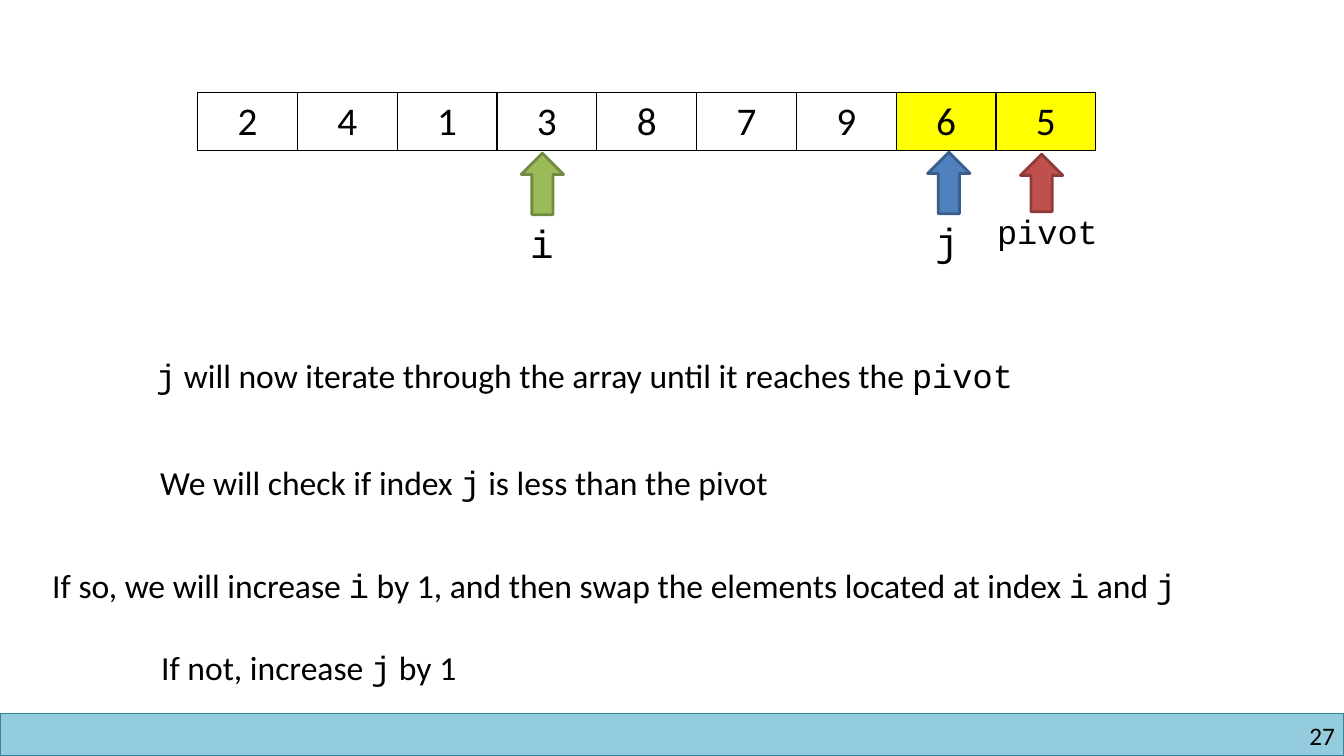
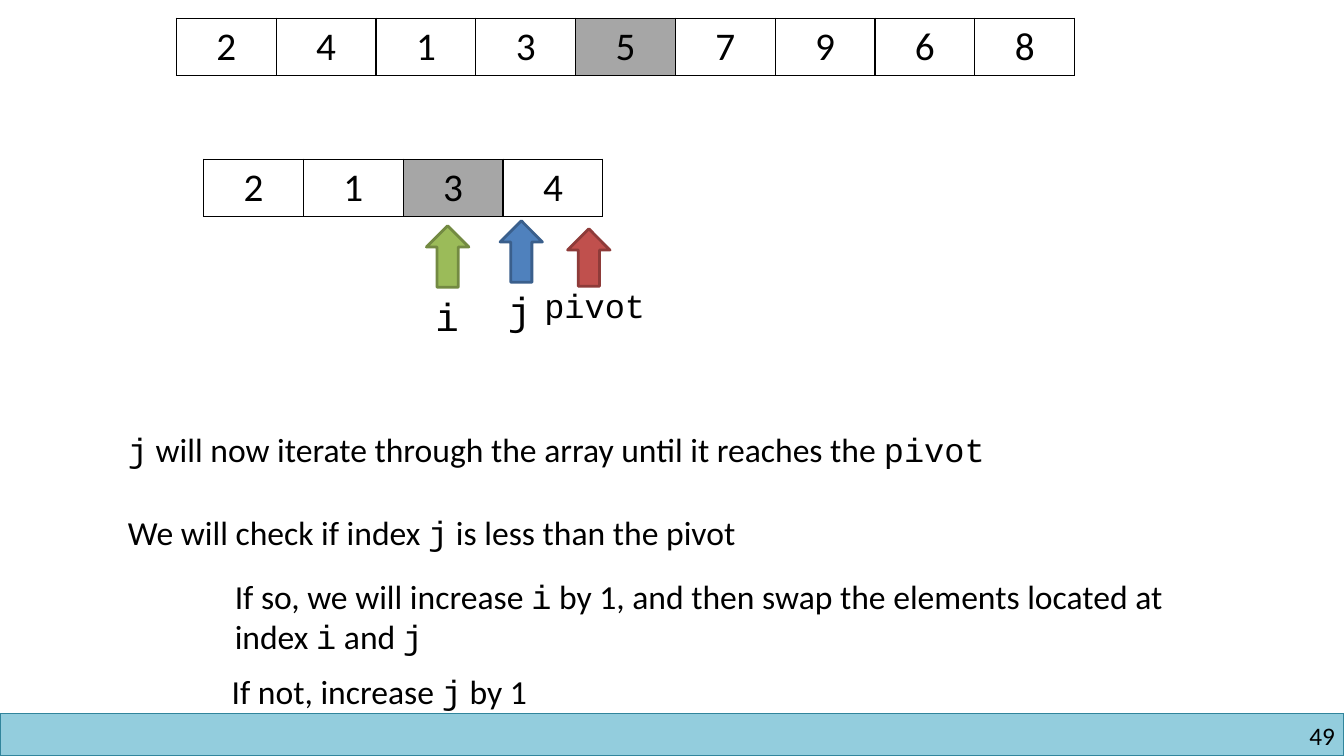
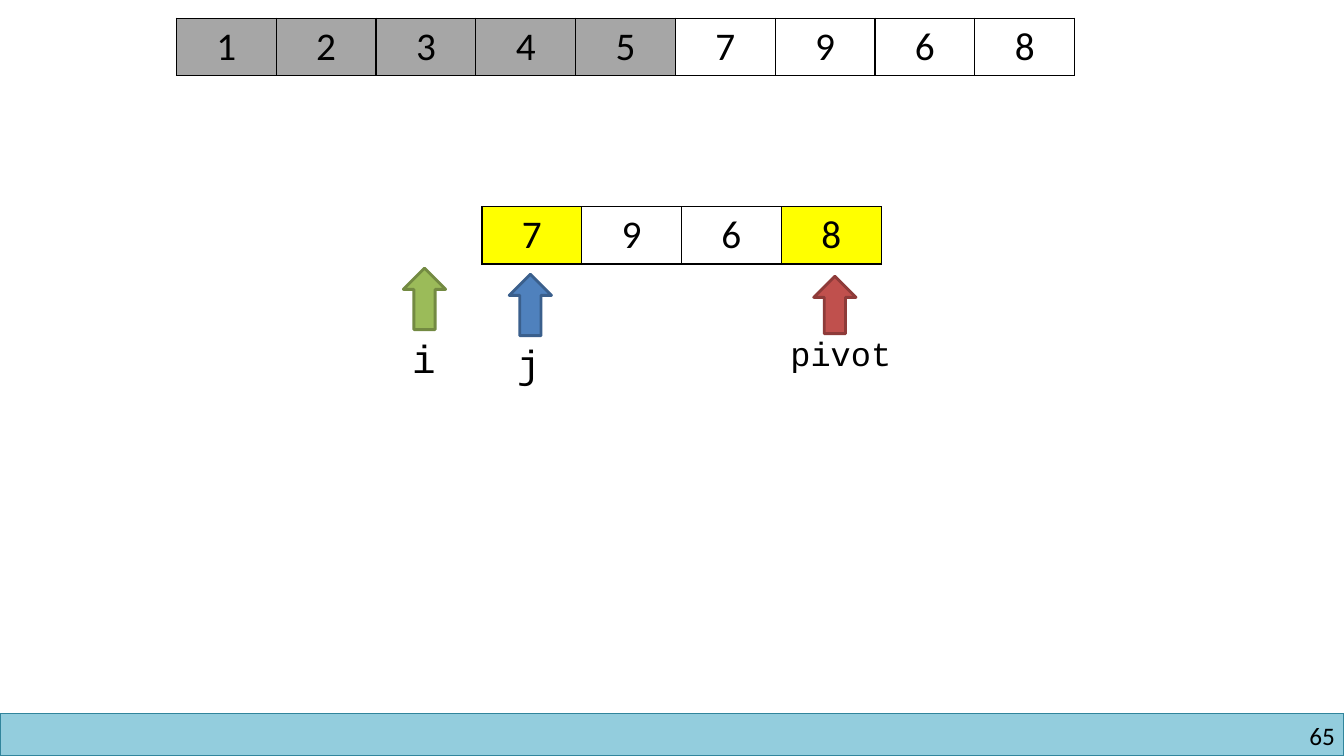
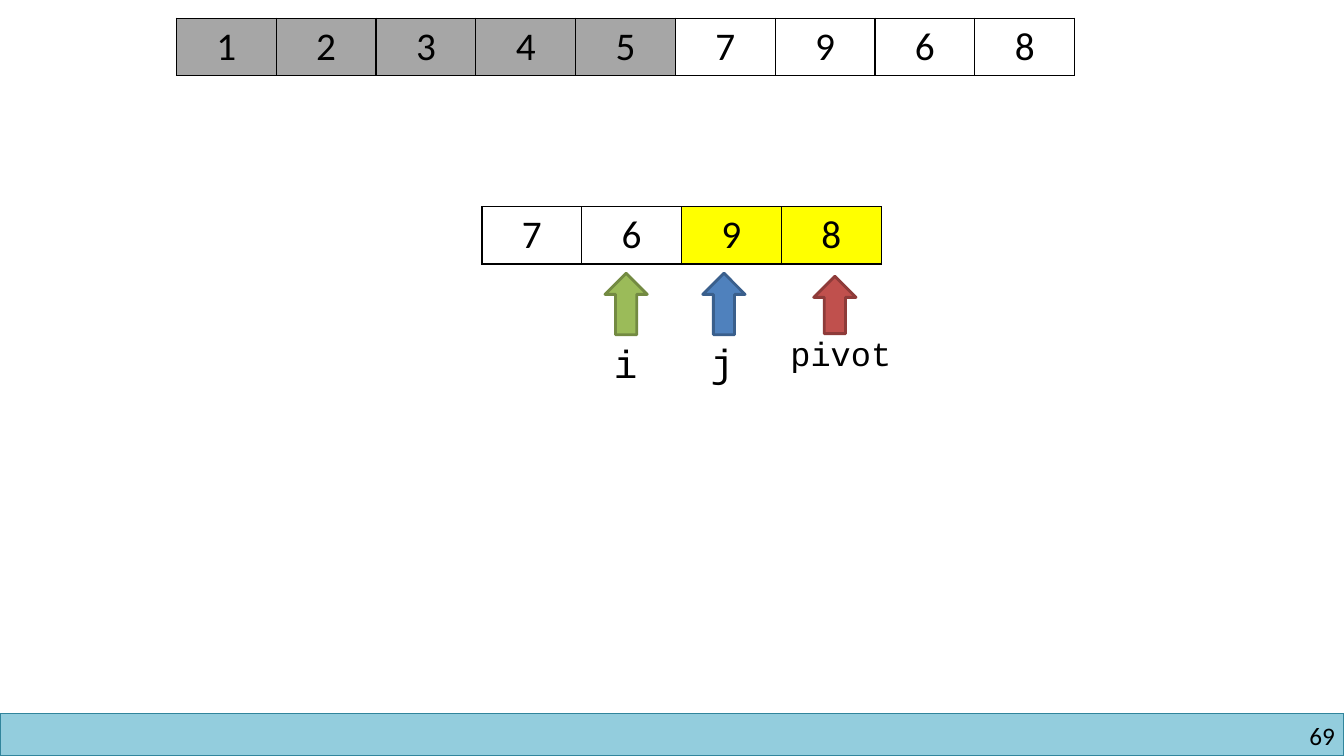
from dataclasses import dataclass

from lxml.etree import SubElement
from pptx import Presentation
from pptx.dml.color import RGBColor
from pptx.enum.shapes import MSO_SHAPE
from pptx.enum.text import PP_ALIGN
from pptx.oxml.ns import qn
from pptx.util import Inches, Pt

RECTANGLE = MSO_SHAPE.RECTANGLE
DOWN_ARROW = MSO_SHAPE.DOWN_ARROW
CENTER, LEFT, RIGHT = PP_ALIGN.CENTER, PP_ALIGN.LEFT, PP_ALIGN.RIGHT
BLANK_LAYOUT = 6


@dataclass(frozen=True)
class Theme:
    """Colours, fonts and type sizes shared by all slides."""
    text: str = "000000"
    border: str = "000000"
    band: str = "93CDDD"
    band_line: str = "31859C"
    plain: str = "FFFFFF"
    compared: str = "FFFF00"
    settled: str = "A6A6A6"
    body_font: str = "Calibri"
    code_font: str = "Courier New"
    number_size: int = 18
    body_size: int = 24
    value_size: int = 28


@dataclass(frozen=True)
class Marker:
    """Look of an index arrow and the offset of its label."""
    fill: str
    line: str
    height: float
    label_left: float
    label_top: float
    label_width: float
    label_height: float
    label_size: int


THEME = Theme()
MARKERS = {
    "pivot": Marker("C0504D", "8E3B39", 0.57, -0.33, 0.51, 1.21, 0.5, THEME.body_size),
    "j": Marker("4F81BD", "3A5F8C", 0.61, -0.02, 0.6, 0.44, 0.57, THEME.value_size),
    "i": Marker("9BBB59", "738A42", 0.61, -0.01, 0.61, 0.44, 0.57, THEME.value_size),
}
ARROW_WIDTH = 0.42
CELL_WIDTH, CELL_HEIGHT = 0.99, 0.57
SLIDE_WIDTH, SLIDE_HEIGHT = 13.33, 7.5
BAND_TOP = 7.08
FULL_ARRAY_AT = (1.75, 0.18)

STEPS = (
    "`j` will now iterate through the array until it reaches the `pivot`",
    "We will check if index `j` is less than the pivot",
    "If so, we will increase `i` by 1, and then swap the elements located at index `i` and `j`",
    "If not, increase `j` by 1",
)

SLIDES = (
    {
        "number": 27,
        "arrays": [((1.96, 0.92), "241387965", {"compared": (7, 8)})],
        "markers": {"pivot": (10.12, 1.53), "j": (9.2, 1.51), "i": (5.17, 1.52)},
        "steps": [(1.45, 3.47, 9.29, 0.5), (1.49, 4.53, 6.84, 0.5),
                  (0.42, 5.56, 12.5, 0.5), (1.5, 6.37, 3.43, 0.5)],
    },
    {
        "number": 49,
        "arrays": [(FULL_ARRAY_AT, "241357968", {"settled": (4,)}),
                   ((2.02, 1.58), "2134", {"settled": (2,)})],
        "markers": {"pivot": (5.63, 2.27), "j": (4.96, 2.19), "i": (4.23, 2.24)},
        "steps": [(1.17, 4.21, 9.29, 0.5), (1.17, 5.03, 6.84, 0.5),
                  (2.23, 5.66, 10.19, 0.91), (2.2, 6.61, 3.43, 0.5)],
    },
    {
        "number": 65,
        "arrays": [(FULL_ARRAY_AT, "123457968", {"settled": range(5)}),
                   ((4.78, 2.05), "7968", {"compared": (0, 3)})],
        "markers": {"pivot": (8.07, 2.74), "j": (5.05, 2.72), "i": (4, 2.66)},
        "steps": [],
    },
    {
        "number": 69,
        "arrays": [(FULL_ARRAY_AT, "123457968", {"settled": range(5)}),
                   ((4.78, 2.05), "7698", {"compared": (2, 3)})],
        "markers": {"pivot": (8.07, 2.74), "j": (6.97, 2.71), "i": (6, 2.71)},
        "steps": [],
    },
)


def inches(*lengths):
    """Convert several lengths at once."""
    return [Inches(length) for length in lengths]


def style_paragraph(paragraph, size, font_name=THEME.body_font, alignment=LEFT):
    """Set the font and alignment of a whole paragraph."""
    paragraph.alignment = alignment
    paragraph.font.name = font_name
    paragraph.font.size = Pt(size)
    paragraph.font.color.rgb = RGBColor.from_string(THEME.text)


def add_shape(slide, kind, box, fill, line, line_width):
    """Add a filled, outlined shape without a shadow."""
    shape = slide.shapes.add_shape(kind, *inches(*box))
    shape.shadow.inherit = False
    shape.fill.solid()
    shape.fill.fore_color.rgb = RGBColor.from_string(fill)
    shape.line.color.rgb = RGBColor.from_string(line)
    shape.line.width = Pt(line_width)
    return shape


def add_footer(slide, number):
    """Draw the bottom band with the slide number."""
    band = (0, BAND_TOP, SLIDE_WIDTH, SLIDE_HEIGHT - BAND_TOP)
    add_shape(slide, RECTANGLE, band, THEME.band, THEME.band_line, 1)
    frame = slide.shapes.add_textbox(*inches(10.17, BAND_TOP + 0.07, 3.07, 0.3)).text_frame
    frame.word_wrap = True
    frame.margin_left = frame.margin_right = frame.margin_top = frame.margin_bottom = 0
    paragraph = frame.paragraphs[0]
    paragraph.text = str(number)
    style_paragraph(paragraph, THEME.number_size, alignment=RIGHT)


def set_borders(cell):
    """Outline a table cell on all four sides."""
    properties = cell._tc.get_or_add_tcPr()
    for side in ("a:lnL", "a:lnR", "a:lnT", "a:lnB"):
        line = SubElement(properties, qn(side), w=str(Pt(1)))
        fill = SubElement(line, qn("a:solidFill"))
        SubElement(fill, qn("a:srgbClr"), val=THEME.border)


def add_array(slide, position, values, highlights):
    """Draw an array as a one-row table with highlighted cells."""
    size = (CELL_WIDTH * len(values), CELL_HEIGHT)
    table = slide.shapes.add_table(1, len(values), *inches(*position, *size)).table
    table.first_row = table.horz_banding = False
    fills = {index: getattr(THEME, state)
             for state, indices in highlights.items() for index in indices}
    for index, value in enumerate(values):
        table.columns[index].width = Inches(CELL_WIDTH)
        cell = table.cell(0, index)
        set_borders(cell)
        cell.fill.solid()
        cell.fill.fore_color.rgb = RGBColor.from_string(fills.get(index, THEME.plain))
        paragraph = cell.text_frame.paragraphs[0]
        paragraph.text = value
        style_paragraph(paragraph, THEME.value_size, alignment=CENTER)


def add_marker(slide, name, left, top):
    """Draw an upward index arrow with its label below."""
    marker = MARKERS[name]
    arrow = add_shape(slide, DOWN_ARROW, (left, top, ARROW_WIDTH, marker.height),
                      marker.fill, marker.line, 2)
    arrow.rotation = 180
    label = slide.shapes.add_textbox(*inches(
        left + marker.label_left, top + marker.label_top,
        marker.label_width, marker.label_height))
    label.text_frame.word_wrap = False
    paragraph = label.text_frame.paragraphs[0]
    paragraph.text = name
    style_paragraph(paragraph, marker.label_size, THEME.code_font)


def add_step(slide, text, box):
    """Write one step, setting the parts between backticks as code."""
    frame = slide.shapes.add_textbox(*inches(*box)).text_frame
    frame.word_wrap = True
    paragraph = frame.paragraphs[0]
    style_paragraph(paragraph, THEME.body_size)
    for index, part in enumerate(text.split("`")):
        if part:
            run = paragraph.add_run()
            run.text = part
            if index % 2:
                run.font.name = THEME.code_font


def add_partition_slide(presentation, number, arrays, markers, steps):
    """Build one slide of the partition walk-through."""
    slide = presentation.slides.add_slide(presentation.slide_layouts[BLANK_LAYOUT])
    add_footer(slide, number)
    for position, values, highlights in arrays:
        add_array(slide, position, values, highlights)
    for name, position in markers.items():
        add_marker(slide, name, *position)
    for text, box in zip(STEPS, steps):
        add_step(slide, text, box)


def main():
    """Build and save the presentation."""
    presentation = Presentation()
    presentation.slide_width, presentation.slide_height = inches(SLIDE_WIDTH, SLIDE_HEIGHT)
    for content in SLIDES:
        add_partition_slide(presentation, **content)
    presentation.save("out.pptx")


if __name__ == "__main__":
    main()
